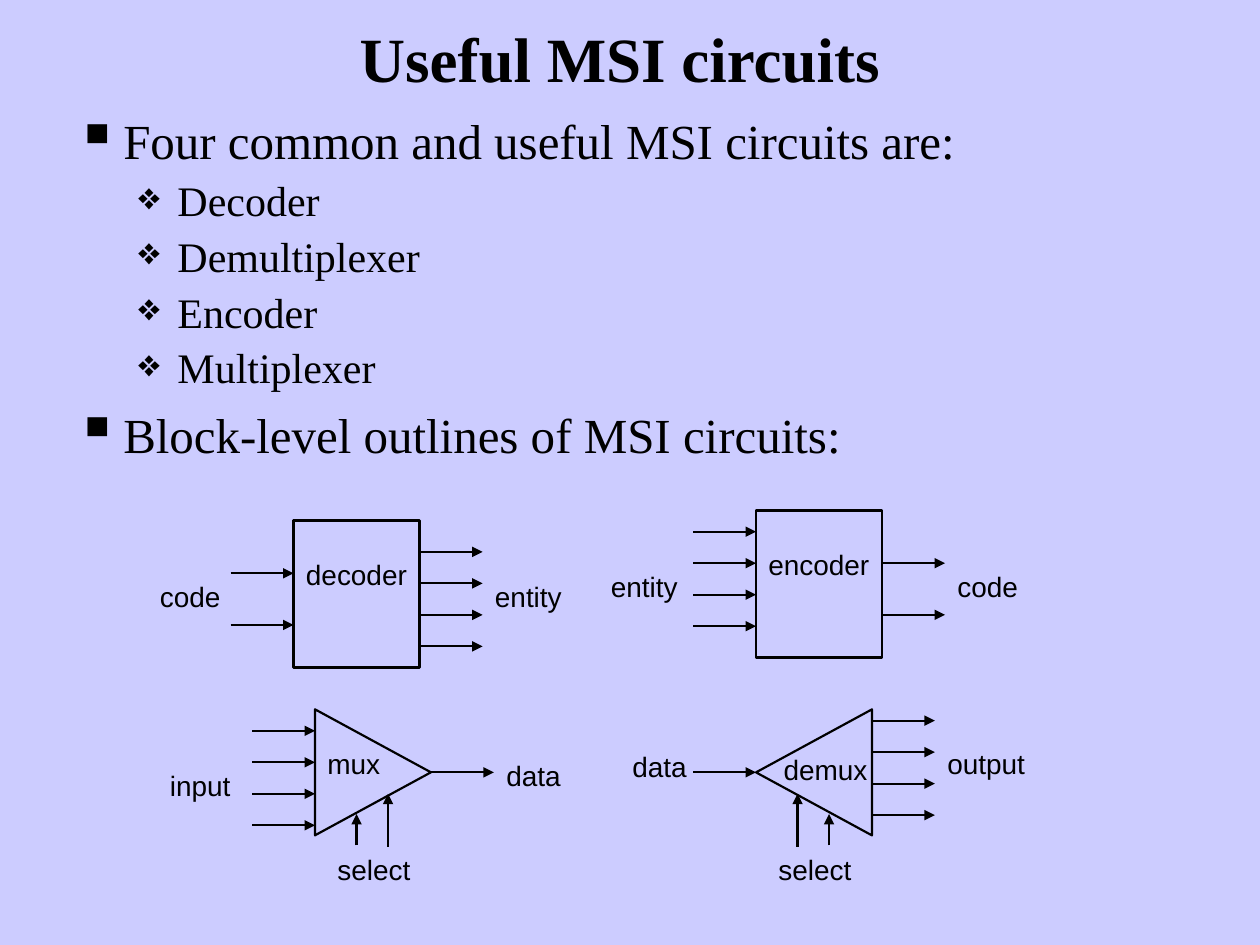
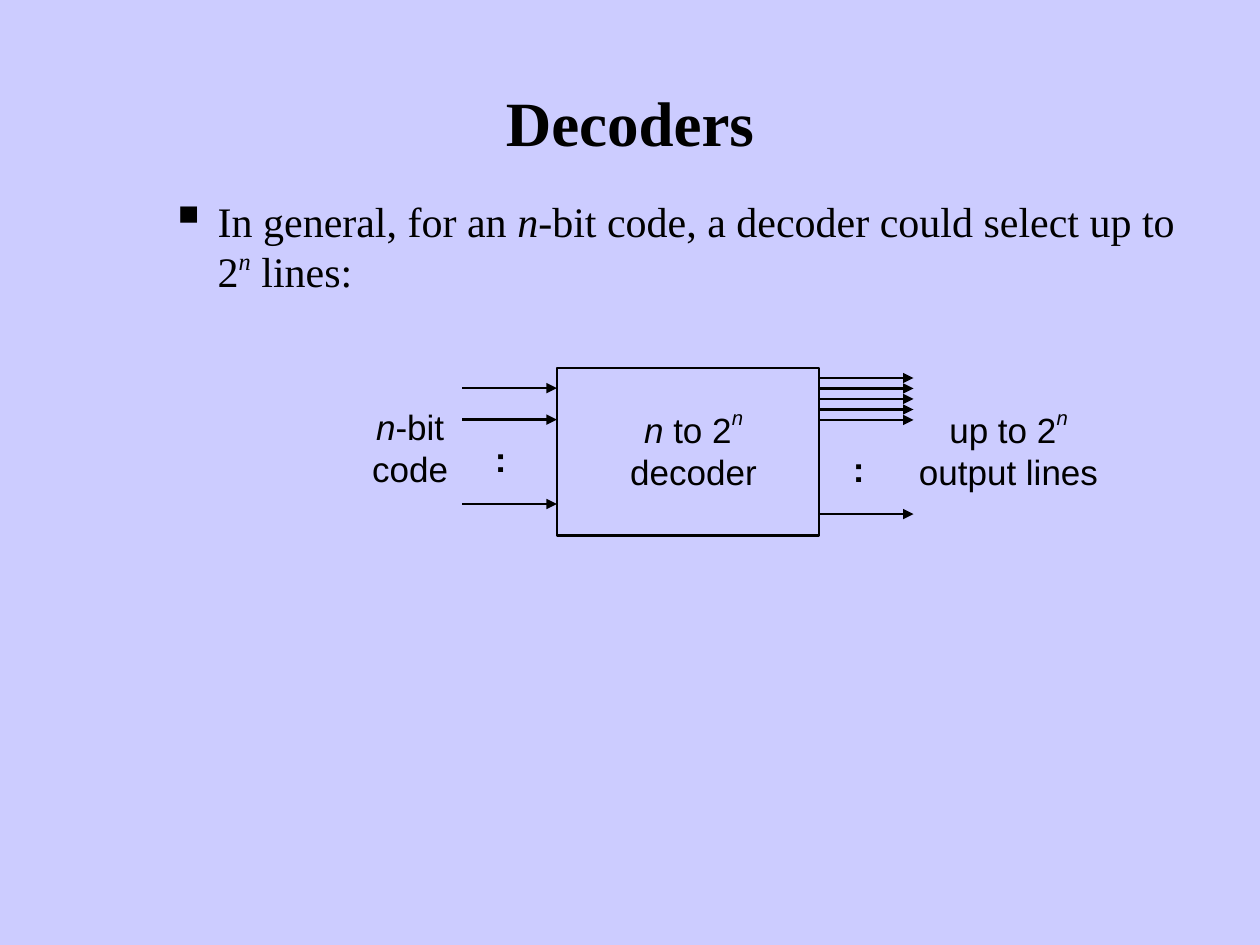
from lxml import etree
from pptx import Presentation
from pptx.dml.color import RGBColor
from pptx.enum import shapes, text
from pptx.oxml import ns
from pptx.util import Inches, Pt

# Shared look
BACKGROUND, INK = "CCCCFF", "000000"
SERIF, SANS = "Times New Roman", "Arial"
LABEL_HEIGHT = 0.37
# Bullet levels: character, size in percent, indent, hanging part
SQUARE = ("▪", 120, 0.38, 0.38)
DIAMOND = ("❖", 90, 0.81, 0.31)


def color(hex_string):
    return RGBColor.from_string(hex_string)


def sub(parent, tag, **attributes):
    return etree.SubElement(parent, ns.qn(tag), attributes)


# Text
def set_bullet(p, bullet):
    char, percent, indent, hanging = bullet
    pPr = p._p.get_or_add_pPr()
    pPr.set("marL", str(Inches(indent)))
    pPr.set("indent", str(-Inches(hanging)))
    sub(sub(pPr, "a:buClr"), "a:srgbClr", val=INK)
    sub(pPr, "a:buSzPct", val=str(percent * 1000))
    sub(pPr, "a:buChar", char=char)


def fill_paragraph(p, runs, size, font, bold=False):
    """Runs are a string, or a list of (text, italic, raised percent)."""
    if isinstance(runs, str):
        runs = [(runs, False, 0)]
    for words, italic, raised in runs:
        r = p.add_run()
        r.text = words
        if italic:
            r.font.italic = True
        if raised:
            r._r.get_or_add_rPr().set("baseline", str(raised * 1000))
    p.font.size = Pt(size)
    p.font.name = font
    p.font.bold = bold
    p.font.color.rgb = color(INK)


def add_box(parent, left, top, width, height):
    sp = parent.shapes.add_textbox(Inches(left), Inches(top), Inches(width), Inches(height))
    sp.text_frame.word_wrap = True
    return sp.text_frame


def next_paragraph(tf, index):
    return tf.add_paragraph() if index else tf.paragraphs[0]


def add_title(s, words, left, top, width, height):
    tf = add_box(s, left, top, width, height)
    tf.vertical_anchor = text.MSO_ANCHOR.MIDDLE
    p = tf.paragraphs[0]
    p.alignment = text.PP_ALIGN.CENTER
    fill_paragraph(p, words, 36, SERIF, bold=True)


def add_bullets(s, items, left, top, width, height):
    """Items are (bullet, size, space before, runs)."""
    tf = add_box(s, left, top, width, height)
    for i, (bullet, size, space, runs) in enumerate(items):
        p = next_paragraph(tf, i)
        if i:
            p.space_before = Pt(space)
        set_bullet(p, bullet)
        fill_paragraph(p, runs, size, SERIF)


def add_label(parent, words, left, top, width=0.75):
    tf = add_box(parent, left, top, width, LABEL_HEIGHT)
    fill_paragraph(tf.paragraphs[0], words, 16, SANS)


def add_centred_label(parent, lines, left, width):
    tf = add_box(parent, left, 3.17, width, 0.79)
    for i, runs in enumerate(lines):
        p = next_paragraph(tf, i)
        p.alignment = text.PP_ALIGN.CENTER
        fill_paragraph(p, runs, 20, SANS)


def add_colon(parent, left, top):
    tf = add_box(parent, left, top, 0.33, 0.44)
    fill_paragraph(tf.paragraphs[0], ":", 20, SANS, bold=True)


# Circuit parts
def add_outline(parent, kind, left, top, width, height, weight=1.5, rotation=0):
    sp = parent.shapes.add_shape(kind, Inches(left), Inches(top), Inches(width), Inches(height))
    sp.shadow.inherit = False
    sp.fill.background()
    sp.line.color.rgb = color(INK)
    sp.line.width = Pt(weight)
    sp.rotation = rotation


def add_block(parent, left, top, width, height):
    add_outline(parent, shapes.MSO_SHAPE.RECTANGLE, left, top, width, height)


def add_triangle(parent, left, rotation):
    add_outline(parent, shapes.MSO_SHAPE.ISOSCELES_TRIANGLE, left, 5.67, 1, 0.92, 1.25, rotation)


def add_arrow(parent, x1, y1, x2, y2):
    line = parent.shapes.add_connector(
        shapes.MSO_CONNECTOR.STRAIGHT, Inches(x1), Inches(y1), Inches(x2), Inches(y2))
    line.line.color.rgb = color(INK)
    line.line.width = Pt(1.25)
    sub(line.line._get_or_add_ln(), "a:tailEnd", type="triangle")
    sub(line._element.spPr, "a:effectLst")


def add_arrows(parent, left, ys, length=0.5):
    for y in ys:
        add_arrow(parent, left, y, left + length, y)


def steps(start, count, gap=0.25):
    return [start + i * gap for i in range(count)]


def add_selects(parent, short_x, long_x, label_left):
    add_arrow(parent, short_x, 6.71, short_x, 6.46)
    add_arrow(parent, long_x, 6.72, long_x, 6.3)
    add_label(parent, "select", label_left, 6.72, 0.83)


# Circuits
def draw_decoder(g):
    add_block(g, 2.33, 4.13, 1, 1.17)
    add_label(g, "decoder", 2.33, 4.38, 1.08)
    add_arrows(g, 1.83, [4.55, 4.96])
    add_arrows(g, 3.33, steps(4.38, 4))
    add_label(g, "code", 1.17, 4.55)
    add_label(g, "entity", 3.83, 4.55)


def draw_encoder(g):
    add_block(g, 6, 4.05, 1, 1.17)
    add_label(g, "encoder", 6, 4.3, 1.08)
    add_arrows(g, 5.5, steps(4.22, 4))
    add_arrows(g, 7, [4.47, 4.88])
    add_label(g, "entity", 4.75, 4.47)
    add_label(g, "code", 7.5, 4.47)


def draw_mux(g):
    add_label(g, "mux", 2.5, 5.88)
    add_arrows(g, 2, steps(5.8, 4))
    add_arrows(g, 3.42, [6.13])
    add_label(g, "input", 1.25, 6.05)
    add_label(g, "data", 3.92, 5.97)
    add_triangle(g, 2.46, 90)
    add_selects(g, 2.83, 3.08, 2.58)


def draw_demux(g):
    add_label(g, "demux", 6.12, 5.92, 0.92)
    add_arrows(g, 5.5, [6.13])
    add_arrows(g, 6.92, steps(5.72, 4))
    add_label(g, "data", 4.92, 5.9)
    add_label(g, "output", 7.42, 5.88, 0.83)
    add_triangle(g, 5.96, 270)
    add_selects(g, 6.58, 6.33, 6.08)


def draw_general_decoder(g):
    n, raised_n = ("n", True, 0), ("n", True, 50)
    add_block(g, 4.42, 2.92, 2.08, 1.33)
    add_arrows(g, 3.67, [3.08, 3.33, 4], 0.75)
    add_arrows(g, 6.5, steps(3, 5, 1 / 12) + [4.08], 0.75)
    add_colon(g, 3.83, 3.42)
    add_colon(g, 6.67, 3.5)
    add_centred_label(g, [[n, ("-bit", False, 0)], "code"], 2.67, 1.17)
    add_centred_label(g, [[n, (" to 2", False, 0), raised_n], "decoder"], 4.67, 1.67)
    add_centred_label(g, [[("up to 2", False, 0), raised_n], "output lines"], 7.17, 1.67)


# Slides
def build_circuits(s):
    add_title(s, "Useful MSI circuits", 0.67, -0.17, 8.5, 1.25)
    circuits = ["Decoder", "Demultiplexer", "Encoder", "Multiplexer"]
    items = [(SQUARE, 28, 7, "Four common and useful MSI circuits are:")]
    items += [(DIAMOND, 24, 3, name) for name in circuits]
    items.append((SQUARE, 28, 7, "Block-level outlines of MSI circuits:"))
    add_bullets(s, items, 0.5, 0.83, 8.92, 6.42)
    for draw in (draw_decoder, draw_encoder, draw_mux, draw_demux):
        draw(s.shapes.add_group_shape())


def build_decoders(s):
    add_title(s, "Decoders", 0.75, 0.42, 8.5, 1.08)
    sentence = [("In general, for an ", False, 0), ("n", True, 0),
                ("-bit code, a decoder could select up to 2", False, 0),
                ("n", True, 40), (" lines:", False, 0)]
    add_bullets(s, [(SQUARE, 24, 6, sentence)], 1.25, 1.5, 8.5, 0.92)
    draw_general_decoder(s.shapes.add_group_shape())


def main():
    prs = Presentation()
    prs.slide_width, prs.slide_height = Inches(10), Inches(7.5)
    for build in (build_circuits, build_decoders):
        s = prs.slides.add_slide(prs.slide_layouts[6])
        s.background.fill.solid()
        s.background.fill.fore_color.rgb = color(BACKGROUND)
        build(s)
    prs.save("out.pptx")


if __name__ == "__main__":
    main()
